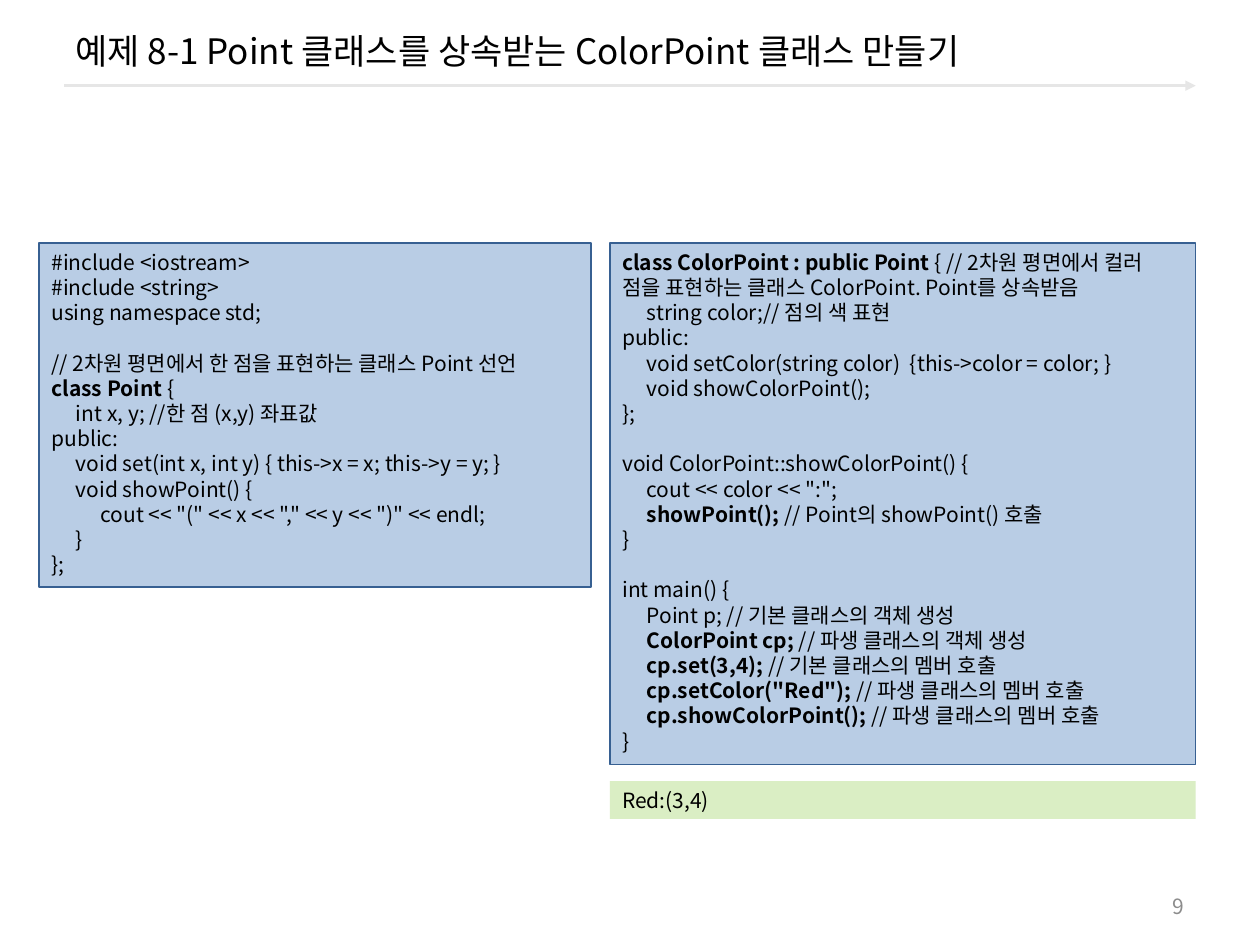
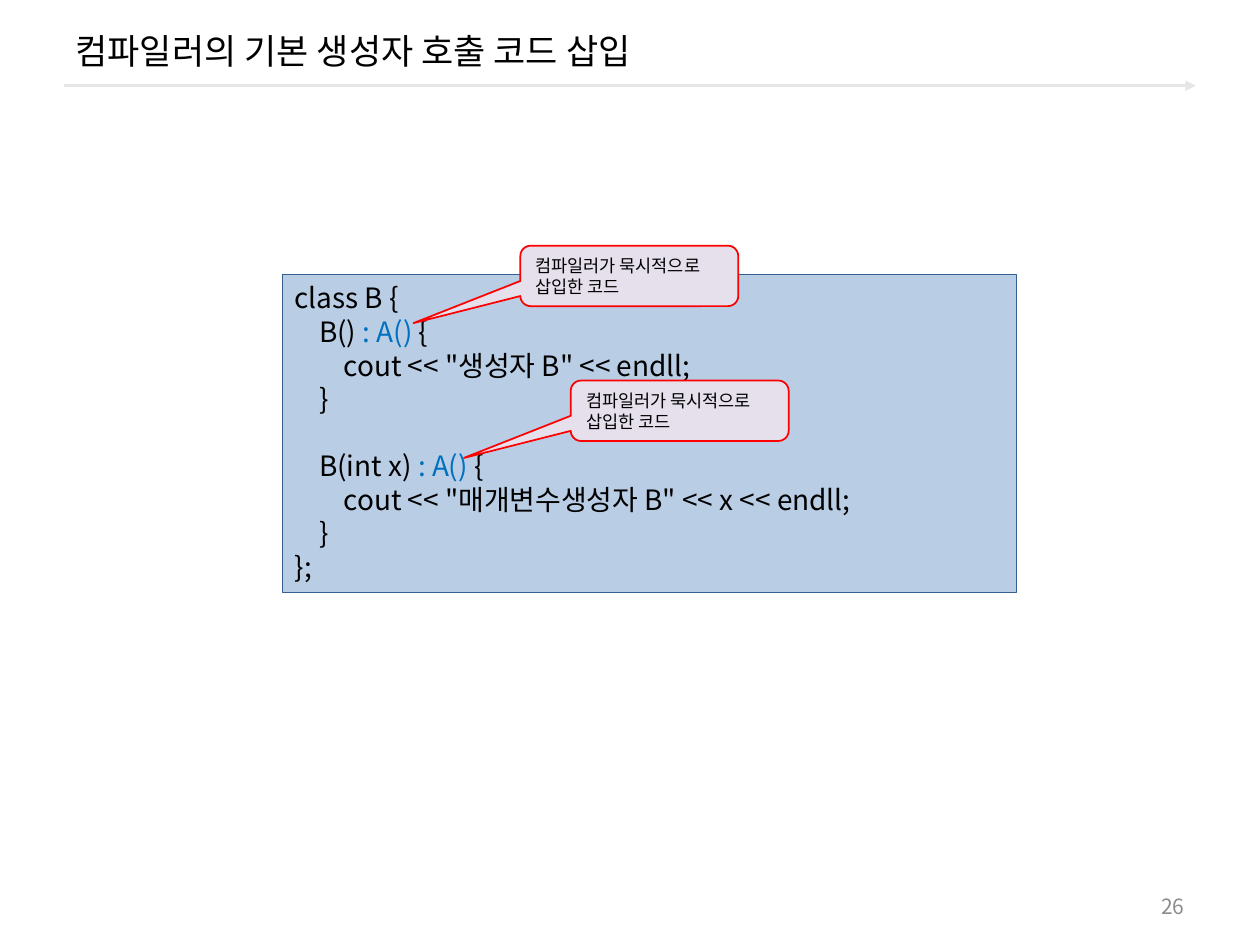
from dataclasses import dataclass

from lxml import etree
from pptx import Presentation
from pptx.dml.color import RGBColor
from pptx.enum.shapes import MSO_CONNECTOR, MSO_SHAPE
from pptx.enum.text import MSO_ANCHOR, PP_ALIGN
from pptx.oxml.ns import qn
from pptx.util import Inches, Pt

RECTANGLE = MSO_SHAPE.RECTANGLE
CALLOUT = MSO_SHAPE.ROUNDED_RECTANGULAR_CALLOUT
STRAIGHT = MSO_CONNECTOR.STRAIGHT
LEFT, RIGHT = PP_ALIGN.LEFT, PP_ALIGN.RIGHT
TOP, MIDDLE = MSO_ANCHOR.TOP, MSO_ANCHOR.MIDDLE


@dataclass(frozen=True)
class Theme:
    font: str = "Noto Sans CJK KR"
    text: str = "000000"
    inserted: str = "0070C0"
    muted: str = "8C8C8C"
    rule: str = "E6E6E6"
    code_fill: str = "B9CDE5"
    code_line: str = "376092"
    output_fill: str = "DAEEC4"
    callout_fill: str = "E6E0EC"
    callout_line: str = "FF0000"
    title_size: int = 20
    large_code_size: int = 16
    body_size: int = 12
    callout_size: int = 10
    line_height: float = 1.2
    tab_width: float = 0.195
    tab_count: int = 14


THEME = Theme()

POINT_CODE = """#include <iostream>
#include <string>
using namespace std;

// 2차원 평면에서 한 점을 표현하는 클래스 Point 선언
|class Point |{
\tint x, y; //한 점 (x,y) 좌표값
public:
\tvoid set(int x, int y) { this->x = x; this->y = y; }
\tvoid showPoint() {
\t\tcout << "(" << x << "," << y << ")" << endl;
\t}
};"""

COLOR_POINT_CODE = """|class ColorPoint : public Point |{ // 2차원 평면에서 컬러 점을 표현하는 클래스 ColorPoint. Point를 상속받음
\tstring color;// 점의 색 표현
public:
\tvoid setColor(string color)  {\tthis->color = color; }
\tvoid showColorPoint();
};

void ColorPoint::showColorPoint() {
\tcout << color << ":";
\t|showPoint(); |// Point의 showPoint() 호출
}

int main() {
\tPoint p; // 기본 클래스의 객체 생성
\t|ColorPoint cp; |// 파생 클래스의 객체 생성
\t|cp.set(3,4); |// 기본 클래스의 멤버 호출
\t|cp.setColor("Red"); |// 파생 클래스의 멤버 호출
\t|cp.showColorPoint(); |// 파생 클래스의 멤버 호출
}"""

CONSTRUCTOR_CODE = """class B {
\tB() |: A() |{
\t\tcout << "생성자 B" << endll;
\t}

\tB(int x) |: A() |{
\t\tcout << "매개변수생성자 B" << x << endll;
\t}
};"""


def color(value):
    return RGBColor.from_string(value)


def add_tab_stops(paragraph):
    tab_list = etree.SubElement(paragraph._p.get_or_add_pPr(), qn("a:tabLst"))
    for number in range(1, THEME.tab_count + 1):
        position = Inches(number * THEME.tab_width)
        etree.SubElement(tab_list, qn("a:tab"), pos=str(position), algn="l")


def write_text(shape, text, size=THEME.body_size, ink=THEME.text, align=LEFT,
               anchor=TOP, emphasis_bold=False, emphasis_ink=None):
    """Write one paragraph a line; text between bars is emphasised.

    A blank line becomes space before the next paragraph.
    """
    frame = shape.text_frame
    frame.word_wrap = True
    frame.vertical_anchor = anchor
    line_height = Pt(size * THEME.line_height)
    paragraph, gap = frame.paragraphs[0], 0
    for index, line in enumerate(text.split("\n")):
        if not line:
            gap += line_height
            continue
        if index:
            paragraph = frame.add_paragraph()
        paragraph.alignment = align
        paragraph.line_spacing = line_height
        paragraph.space_before = gap
        gap = 0
        if "\t" in line:
            add_tab_stops(paragraph)
        for part_index, part in enumerate(line.split("|")):
            if not part:
                continue
            emphasised = part_index % 2 == 1
            run = paragraph.add_run()
            run.text = part
            font = run.font
            font.name = THEME.font
            etree.SubElement(run._r.get_or_add_rPr(), qn("a:ea"), typeface=THEME.font)
            font.size = Pt(size)
            font.bold = emphasised and emphasis_bold
            font.color.rgb = color(emphasis_ink if emphasised and emphasis_ink else ink)


class Deck:
    def __init__(self, theme):
        self.theme = theme
        self.presentation = Presentation()
        self.presentation.slide_width = Inches(10)
        self.presentation.slide_height = Inches(7.5)
        self.slide = None

    def add_slide(self, title, number):
        theme = self.theme
        layout = self.presentation.slide_layouts[6]
        self.slide = self.presentation.slides.add_slide(layout)
        self.add_rule()
        self.add_text(title, 0.5, 0.08, 9, 0.64, size=theme.title_size, anchor=MIDDLE)
        self.add_text(str(number), 7.17, 7.03, 2.33, 0.32, ink=theme.muted,
                      align=RIGHT, anchor=MIDDLE)

    def add_rule(self):
        """Draw the arrow under the title."""
        rule = self.slide.shapes.add_connector(
            STRAIGHT, Inches(0.51), Inches(0.68), Inches(9.49), Inches(0.68))
        rule.line.color.rgb = color(self.theme.rule)
        rule.line.width = Pt(1.5)
        etree.SubElement(rule.line._get_or_add_ln(), qn("a:tailEnd"), type="triangle")
        etree.SubElement(rule._element.spPr, qn("a:effectLst"))

    def add_text(self, text, left, top, width, height, **text_format):
        box = self.slide.shapes.add_textbox(*map(Inches, (left, top, width, height)))
        write_text(box, text, **text_format)

    def add_panel(self, text, left, top, width, height, fill, line=None,
                  line_width=0.75, preset=RECTANGLE, **text_format):
        panel = self.slide.shapes.add_shape(
            preset, *map(Inches, (left, top, width, height)))
        panel.shadow.inherit = False
        panel.fill.solid()
        panel.fill.fore_color.rgb = color(fill)
        if line:
            panel.line.color.rgb = color(line)
            panel.line.width = Pt(line_width)
        else:
            panel.line.fill.background()
        write_text(panel, text, **text_format)
        return panel

    def add_code(self, code, left, top, width, height, **text_format):
        self.add_panel(code, left, top, width, height, self.theme.code_fill,
                       self.theme.code_line, **text_format)

    def add_output(self, text, left, top, width, height):
        self.add_panel(text, left, top, width, height, self.theme.output_fill)

    def add_callout(self, text, left, top):
        theme = self.theme
        callout = self.add_panel(
            text, left, top, 1.73, 0.48, theme.callout_fill, theme.callout_line,
            line_width=1, preset=CALLOUT, size=theme.callout_size, anchor=MIDDLE)
        for index, value in enumerate((-0.99, 0.78, 0.17)):
            callout.adjustments[index] = value


def build_color_point_slide(deck):
    deck.add_slide("예제 8-1 Point 클래스를 상속받는 ColorPoint 클래스 만들기", 9)
    deck.add_code(POINT_CODE, 0.31, 1.93, 4.38, 2.73, emphasis_bold=True)
    deck.add_code(COLOR_POINT_CODE, 4.84, 1.93, 4.65, 4.14, emphasis_bold=True)
    deck.add_output("Red:(3,4)", 4.84, 6.2, 4.65, 0.3)


def build_constructor_slide(deck):
    deck.add_slide("컴파일러의 기본 생성자 호출 코드 삽입", 26)
    deck.add_code(CONSTRUCTOR_CODE, 2.24, 2.18, 5.83, 2.52,
                  size=deck.theme.large_code_size, emphasis_ink=deck.theme.inserted)
    for left, top in ((4.13, 1.95), (4.53, 3.02)):
        deck.add_callout("컴파일러가 묵시적으로 삽입한 코드", left, top)


def main():
    deck = Deck(THEME)
    build_color_point_slide(deck)
    build_constructor_slide(deck)
    deck.presentation.save("out.pptx")


if __name__ == "__main__":
    main()
